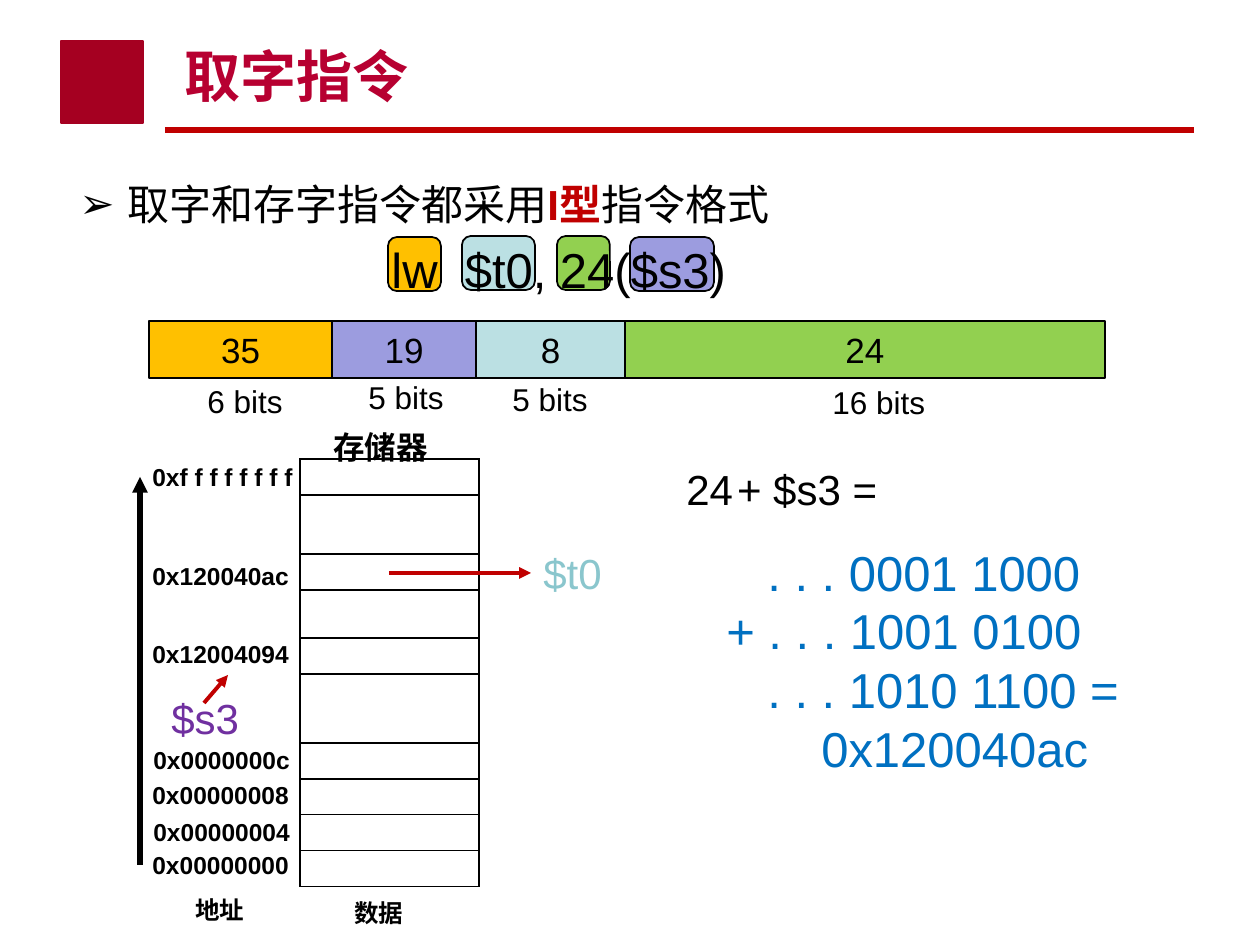
import pptx
import pptx.util
import pptx.dml.color
import pptx.enum.shapes
import pptx.enum.text
import pptx.oxml
import pptx.oxml.ns
from lxml import etree

RGBColor = pptx.dml.color.RGBColor
BLACK = RGBColor(0x00, 0x00, 0x00)
CRIMSON = RGBColor(0xB7, 0x00, 0x31)
RED = RGBColor(0xC0, 0x00, 0x00)
BLUE = RGBColor(0x00, 0x70, 0xC1)
PURPLE = RGBColor(0x70, 0x30, 0xA0)
TEAL = RGBColor(0x8A, 0xC6, 0xCD)
ORANGE = RGBColor(0xFF, 0xC0, 0x00)
LAVENDER = RGBColor(0x9C, 0x9C, 0xDF)
PALE_TEAL = RGBColor(0xBB, 0xE0, 0xE3)
GREEN = RGBColor(0x92, 0xD0, 0x50)
DARK_RED = RGBColor(0xA5, 0x00, 0x21)

PX = 914400 / 126
SHAPE = pptx.enum.shapes.MSO_SHAPE
ALIGN = pptx.enum.text.PP_ALIGN
Pt = pptx.util.Pt
qn = pptx.oxml.ns.qn

deck = pptx.Presentation()
deck.slide_width, deck.slide_height = round(1260 * PX), round(945 * PX)
page = deck.slides.add_slide(deck.slide_layouts[6])


def place(kind, left, top, width, height, fill=None, line=None, weight=1, parent=page):
    area = [round(length * PX) for length in (left, top, width, height)]
    if kind is None:
        return parent.shapes.add_textbox(*area)
    shape = parent.shapes.add_shape(kind, *area)
    shape.shadow.inherit = False
    shape.fill.solid()
    shape.fill.fore_color.rgb = fill
    shape.line.color.rgb = line
    shape.line.width = Pt(weight)
    return shape


def write(text, box, size=14, color=BLACK, bold=False, align=ALIGN.LEFT, wrap=True, indent=0):
    frame = box.text_frame
    frame.word_wrap = wrap
    para = frame.paragraphs[0]
    if para.runs:
        para = frame.add_paragraph()
    para.alignment = align
    if indent:
        para._p.get_or_add_pPr().set("marL", str(round(indent * PX)))
    parts = [(text, {})] if isinstance(text, str) else text
    for words, change in parts:
        span = para.add_run()
        span.text = words
        span.font.name = "Arial"
        span.font.size = Pt(change.get("size", size))
        span.font.bold = change.get("bold", bold)
        span.font.color.rgb = change.get("color", color)
    return para


place(SHAPE.RECTANGLE, 61, 41, 82, 82, DARK_RED, DARK_RED)

title = place(None, 172, 31, 1008, 84)
title.text_frame.vertical_anchor = pptx.enum.text.MSO_ANCHOR.BOTTOM
write("取字指令", title, size=32, color=CRIMSON, bold=True)

for left, top, width, color in [
    (630, 237, 84, LAVENDER),
    (557, 236, 53, GREEN),
    (462, 236, 73, PALE_TEAL),
    (388, 237, 53, ORANGE),
]:
    place(SHAPE.ROUNDED_RECTANGLE, left, top, width, 54, color, BLACK)

body = place(None, 67, 153, 1128, 260)
lead = write(
    [("取字和存字指令都采用", {}), ("I型", {"color": RED, "bold": True}), ("指令格式", {})],
    body, size=24, indent=48,
)
lead_format = lead._p.get_or_add_pPr()
lead_format.set("indent", str(round(-48 * PX)))
etree.SubElement(lead_format, qn("a:buFont"), typeface="Arial")
etree.SubElement(lead_format, qn("a:buChar"), char="➢")
lead.line_spacing = Pt(40)
write("lw  $t0, 24($s3)", body, size=28, indent=312).space_before = Pt(5.6)

fields = page.shapes.add_group_shape()
left = 149
for value, width, color in [("35", 183, ORANGE), ("19", 144, LAVENDER), ("8", 149, PALE_TEAL), ("24", 480, GREEN)]:
    field = place(SHAPE.RECTANGLE, left, 321, width, 57, color, BLACK, 1.5, fields)
    field.text_frame.vertical_anchor = pptx.enum.text.MSO_ANCHOR.MIDDLE
    write(value, field, size=20, align=ALIGN.CENTER)
    left += width

for text, left, top, width in [
    ("6 bits", 195, 376, 102),
    ("5 bits", 356, 372, 102),
    ("5 bits", 500, 374, 102),
    ("16 bits", 820, 377, 120),
]:
    write(text, place(None, left, top, width, 50), size=18, wrap=False)

row_heights = [36, 59, 36, 48, 36, 69, 36, 36, 36, 36]
memory = page.shapes.add_table(
    len(row_heights), 1, *[round(length * PX) for length in (300, 459, 179, sum(row_heights))]
).table
memory.first_row = memory.horz_banding = False
for row, height in zip(memory.rows, row_heights):
    row.height = round(height * PX)
    cell = row.cells[0]
    etree.SubElement(cell.text_frame.paragraphs[0]._p, qn("a:endParaRPr"), sz="1000")
    cell_format = cell._tc.get_or_add_tcPr()
    for side in ("a:lnL", "a:lnR", "a:lnT", "a:lnB"):
        border = etree.SubElement(cell_format, qn(side), w=str(Pt(1)))
        paint = etree.SubElement(border, qn("a:solidFill"))
        etree.SubElement(paint, qn("a:srgbClr"), val=str(BLACK))
    cell.fill.background()

for text, left, top, width in [
    ("0xf f f f f f f f", 140, 456, 176),
    ("0x120040ac", 140, 555, 176),
    ("0x12004094", 140, 633, 176),
    ("0x0000000c", 141, 739, 176),
    ("0x00000008", 140, 774, 176),
    ("0x00000004", 141, 811, 176),
    ("0x00000000", 140, 844, 176),
    ("地址", 183, 889, 136),
    ("数据", 342, 892, 136),
]:
    write(text, place(None, left, top, width, 43), bold=True)
write("存储器", place(None, 321, 422, 136, 50), size=18, bold=True)

write("$s3", place(None, 159, 686, 94, 63), size=24, color=PURPLE, wrap=False)
write("$t0", place(None, 531, 541, 84, 63), size=24, color=TEAL, wrap=False)
write(
    [("24", {}), (" ", {"size": 8}), ("+ $s3 =", {})],
    place(None, 674, 457, 218, 63), size=24, wrap=False,
)

addition = place(None, 714, 536, 491, 251)
for text, indent in [
    (". . . 0001 1000", 41),
    ("+ . . . 1001 0100", 0),
    (". . . 1010 1100 =", 41),
    ("0x120040ac", 95),
]:
    write(text, addition, size=28, color=BLUE, indent=indent)

for start_x, start_y, end_x, end_y, color, weight, arrow in [
    (165, 130, 1194, 130, RED, 3, False),
    (389, 573, 531, 573, RED, 2.25, True),
    (204, 703, 228, 675, RED, 2.25, True),
    (140, 865, 140, 477, BLACK, 3, True),
]:
    ends = [round(length * PX) for length in (start_x, start_y, end_x, end_y)]
    stroke = page.shapes.add_connector(pptx.enum.shapes.MSO_CONNECTOR.STRAIGHT, *ends)
    stroke.line.color.rgb = color
    stroke.line.width = Pt(weight)
    if arrow:
        etree.SubElement(stroke.line._get_or_add_ln(), qn("a:tailEnd"), type="triangle")
    etree.SubElement(stroke._element.spPr, qn("a:effectLst"))

deck.save("out.pptx")
